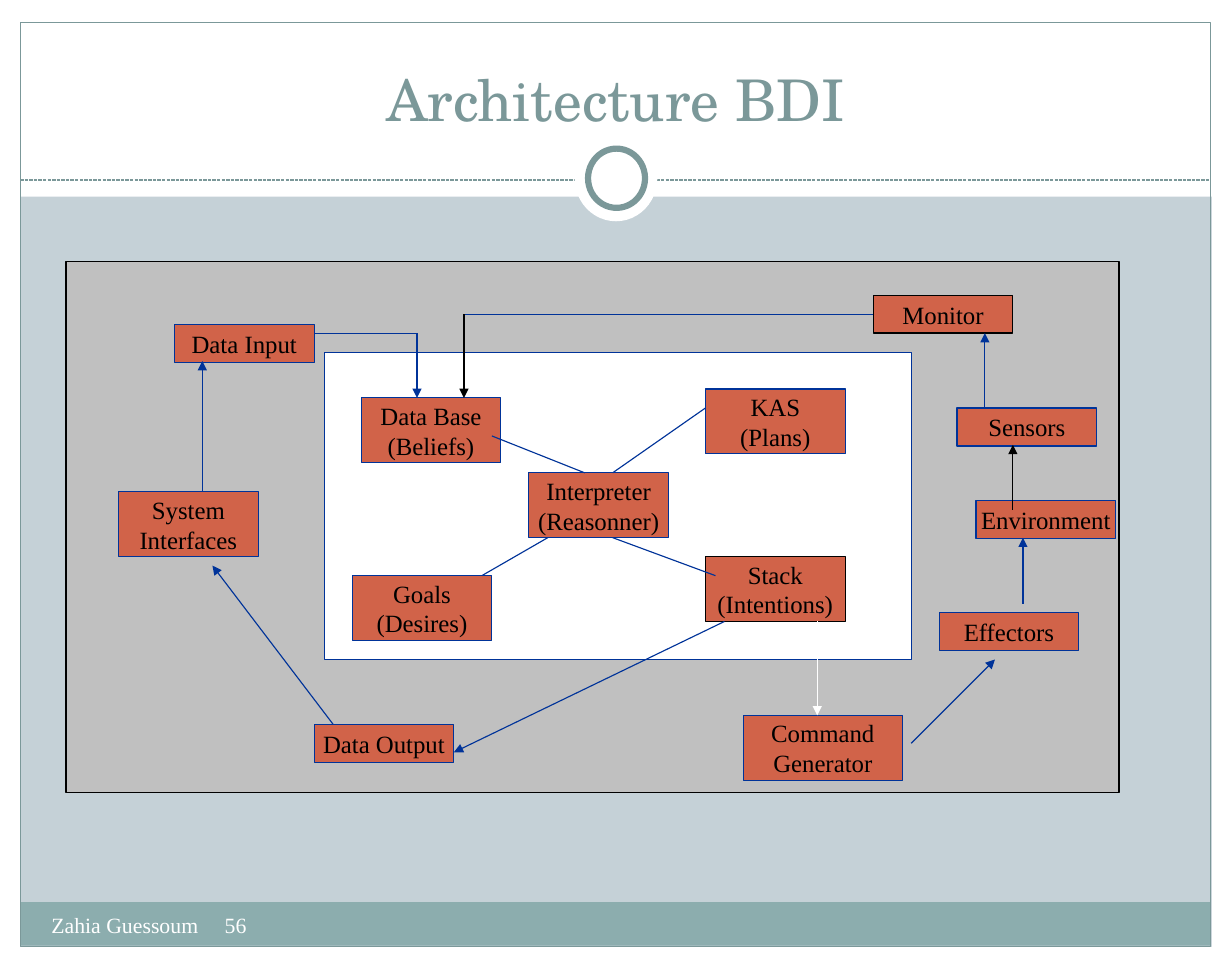
from dataclasses import dataclass

from lxml import etree
from pptx import Presentation
from pptx.dml.color import RGBColor
from pptx.enum.dml import MSO_LINE
from pptx.enum.shapes import MSO_CONNECTOR, MSO_SHAPE
from pptx.enum.text import MSO_ANCHOR, MSO_AUTO_SIZE, PP_ALIGN
from pptx.oxml.ns import qn
from pptx.util import Pt

RECT, OVAL = MSO_SHAPE.RECTANGLE, MSO_SHAPE.OVAL
STRAIGHT = MSO_CONNECTOR.STRAIGHT
DASH = MSO_LINE.SQUARE_DOT
CENTER = PP_ALIGN.CENTER
MIDDLE, BOTTOM = MSO_ANCHOR.MIDDLE, MSO_ANCHOR.BOTTOM
NO_AUTOFIT = MSO_AUTO_SIZE.NONE
LEFT_SIDE = 1
PX = 9144
WIDTH, HEIGHT = 1102, 866
BOX_W, ONE_LINE_H, TWO_LINE_H = 125, 34, 58


@dataclass(frozen=True)
class Theme:
    background: str = "C5D1D7"
    white: str = "FFFFFF"
    black: str = "000000"
    accent: str = "7B9899"
    footer: str = "8CADAE"
    panel: str = "C0C0C0"
    box: str = "D16349"
    blue: str = "003399"
    title_font: str = "TeX Gyre Schola"
    body_font: str = "Times New Roman"
    title_size: int = 37
    box_size: int = 16
    footer_size: int = 14
    thin: float = 0.75
    ring: float = 4


THEME = Theme()

BOXES = [
    ("Data Input", 156, 290, THEME.blue),
    ("System\nInterfaces", 106, 440, THEME.blue),
    ("Data Output", 281, 648, THEME.blue),
    ("Command\nGenerator", 665, 640, THEME.blue),
    ("Effectors", 840, 548, THEME.blue),
    ("Environment", 873, 448, THEME.blue),
    ("Sensors", 856, 365, THEME.blue),
    ("Monitor", 781, 264, THEME.black),
    ("Stack\n(Intentions)", 631, 498, THEME.black),
    ("Goals\n(Desires)", 315, 515, THEME.blue),
    ("Interpreter\n(Reasonner)", 473, 423, THEME.blue),
    ("KAS\n(Plans)", 631, 348, THEME.blue),
    ("Data Base\n(Beliefs)", 323, 356, THEME.blue),
]
WIDE_BOXES = {"Command\nGenerator": 142}

LINKS = [
    (440, 390, 523, 423, THEME.blue),
    (431, 515, 490, 481, THEME.blue),
    (548, 423, 631, 365, THEME.blue),
    (548, 481, 640, 515, THEME.blue),
    (281, 298, 373, 298, THEME.blue),
    (656, 798, 656, 798, THEME.black),
]

ARROWS = [
    (415, 281, 415, 356, THEME.black),
    (373, 298, 373, 356, THEME.blue),
    (881, 365, 881, 298, THEME.blue),
    (181, 440, 181, 323, THEME.blue),
    (731, 556, 731, 640, THEME.white),
    (648, 556, 406, 673, THEME.blue),
    (298, 648, 190, 506, THEME.blue),
    (815, 665, 890, 590, THEME.blue),
    (915, 540, 915, 481, THEME.blue),
    (906, 456, 906, 398, THEME.black),
]


def rgb(color):
    return RGBColor.from_string(color)


def set_font(p, name, size, color):
    p.font.name = name
    p.font.size = Pt(size)
    p.font.color.rgb = rgb(color)


def set_margins(tf, x, y):
    tf.margin_left = tf.margin_right = x * PX
    tf.margin_top = tf.margin_bottom = y * PX


def add_block(slide, x, y, w, h, fill=None, line=None, width=THEME.thin, kind=RECT):
    sp = slide.shapes.add_shape(kind, x * PX, y * PX, w * PX, h * PX)
    sp.shadow.inherit = False
    if fill:
        sp.fill.solid()
        sp.fill.fore_color.rgb = rgb(fill)
    else:
        sp.fill.background()
    if line:
        sp.line.color.rgb = rgb(line)
        sp.line.width = Pt(width)
    else:
        sp.line.fill.background()
    return sp


def add_box(slide, text, x, y, line):
    h = TWO_LINE_H if "\n" in text else ONE_LINE_H
    sp = add_block(slide, x, y, WIDE_BOXES.get(text, BOX_W), h, THEME.box, line)
    tf = sp.text_frame
    tf.word_wrap = False
    tf.vertical_anchor = MIDDLE
    set_margins(tf, 10, 5)
    tf.text = text
    for p in tf.paragraphs:
        p.alignment = CENTER
        set_font(p, THEME.body_font, THEME.box_size, THEME.black)
    return sp


def add_line(slide, x1, y1, x2, y2, color, arrow=False, dash=None):
    c = slide.shapes.add_connector(STRAIGHT, x1 * PX, y1 * PX, x2 * PX, y2 * PX)
    c.line.color.rgb = rgb(color)
    c.line.width = Pt(THEME.thin)
    if dash:
        c.line.dash_style = dash
    props = c.element.spPr
    if arrow:
        etree.SubElement(props.find(qn("a:ln")), qn("a:tailEnd"), type="triangle")
    etree.SubElement(props, qn("a:effectLst"))
    return c


def add_frame(slide):
    for x, y, w, h in [(0, 847, WIDTH, 19), (0, 0, WIDTH, 176),
                       (0, 0, 18, HEIGHT), (1084, 0, 18, HEIGHT)]:
        add_block(slide, x, y, w, h, THEME.white)
    add_block(slide, 18, 807, 1065, 39, THEME.footer)
    add_block(slide, 18, 20, 1065, 827, line=THEME.accent)
    add_line(slide, 18, 161, 1083, 161, THEME.accent, dash=DASH)
    add_block(slide, 514, 121, 74, 77, THEME.white, kind=OVAL)
    add_block(slide, 526, 133, 51, 53, THEME.white, THEME.accent, THEME.ring, OVAL)


def add_title(slide, text):
    title = slide.shapes.title
    slide.shapes.element.append(title.element)
    title.left, title.top, title.width, title.height = (
        v * PX for v in (36, 29, 1029, 96))
    tf = title.text_frame
    tf.text = text
    tf.word_wrap = True
    tf.auto_size = NO_AUTOFIT
    tf.vertical_anchor = BOTTOM
    set_margins(tf, 11, 6)
    p = tf.paragraphs[0]
    p.alignment = CENTER
    set_font(p, THEME.title_font, THEME.title_size, THEME.accent)


def add_footer(slide, author, number):
    sp = slide.shapes.add_textbox(35 * PX, 810 * PX, 397 * PX, 46 * PX)
    tf = sp.text_frame
    tf.word_wrap = True
    set_margins(tf, 11, 6)
    p = tf.paragraphs[0]
    p.text = f"{author}\t{number}"
    tabs = etree.SubElement(p._p.get_or_add_pPr(), qn("a:tabLst"))
    etree.SubElement(tabs, qn("a:tab"), pos=str(155 * PX), algn="l")
    set_font(p, THEME.body_font, THEME.footer_size, THEME.white)


def add_diagram(slide):
    add_block(slide, 59, 234, 942, 475, THEME.panel, THEME.black)
    add_block(slide, 290, 315, 525, 275, THEME.white, THEME.blue)
    boxes = {box[0]: add_box(slide, *box) for box in BOXES}
    for link in LINKS:
        add_line(slide, *link)
    feed = add_line(slide, 781, 281, 415, 281, THEME.blue)
    feed.begin_connect(boxes["Monitor"], LEFT_SIDE)
    for arrow in ARROWS:
        add_line(slide, *arrow, arrow=True)


def main():
    prs = Presentation()
    prs.slide_width, prs.slide_height = WIDTH * PX, HEIGHT * PX
    slide = prs.slides.add_slide(prs.slide_layouts[5])
    slide.background.fill.solid()
    slide.background.fill.fore_color.rgb = rgb(THEME.background)
    add_frame(slide)
    add_title(slide, "Architecture BDI")
    add_footer(slide, "Zahia Guessoum", 56)
    add_diagram(slide)
    prs.save("out.pptx")


if __name__ == "__main__":
    main()
